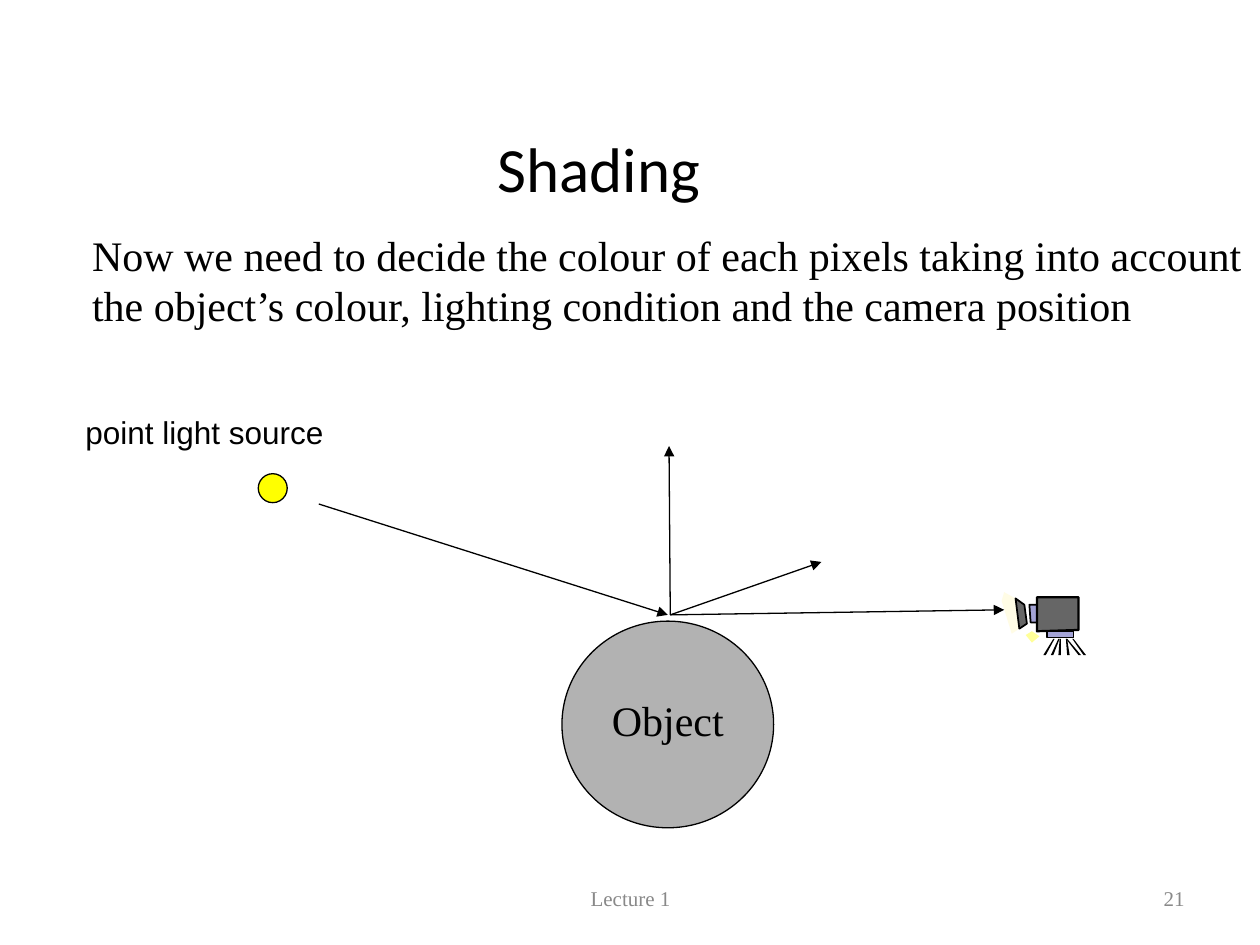
from lxml.etree import SubElement
from pptx import Presentation
from pptx.dml.color import RGBColor
from pptx.enum.shapes import MSO_CONNECTOR, MSO_SHAPE
from pptx.enum.text import MSO_ANCHOR, PP_ALIGN
from pptx.oxml.ns import qn
from pptx.util import Pt

PX = 9144
BLACK = RGBColor(0x00, 0x00, 0x00)
FOOTER_GREY = RGBColor(0x89, 0x89, 0x89)
OBJECT_GREY = RGBColor(0xB2, 0xB2, 0xB2)
BODY_GREY = RGBColor(0x66, 0x66, 0x66)
LILAC = RGBColor(0xA3, 0xA3, 0xD6)
YELLOW = RGBColor(0xFF, 0xFF, 0x00)
PALE_YELLOW = RGBColor(0xFF, 0xFF, 0x99)
CREAM = RGBColor(0xFF, 0xFC, 0xE5)
SERIF = "Times New Roman"


def emu(*lengths):
    return [length * PX for length in lengths]


def write_text(shape, text, size, font_name=SERIF, color=BLACK, align=PP_ALIGN.LEFT,
               anchor=MSO_ANCHOR.MIDDLE, spacing=1.0, left_inset=10):
    text_frame = shape.text_frame
    text_frame.text = text
    text_frame.word_wrap = True
    text_frame.vertical_anchor = anchor
    text_frame.margin_left, text_frame.margin_right = emu(left_inset, 10)
    text_frame.margin_top, text_frame.margin_bottom = emu(5, 5)
    paragraph = text_frame.paragraphs[0]
    paragraph.alignment = align
    paragraph.line_spacing = spacing
    font = paragraph.runs[0].font
    font.name, font.size = font_name, Pt(size)
    font.color.rgb = color


def add_text(slide, box, text, size, **style):
    write_text(slide.shapes.add_textbox(*emu(*box)), text, size, **style)


def paint(shape, color, line_width=None):
    shape.shadow.inherit = False
    shape.fill.solid()
    shape.fill.fore_color.rgb = color
    if line_width:
        shape.line.color.rgb = BLACK
        shape.line.width = Pt(line_width)
    else:
        shape.line.fill.background()


def add_circle(slide, box, color):
    paint(slide.shapes.add_shape(MSO_SHAPE.OVAL, *emu(*box)), color, 0.75)


def add_label(slide, box, text, size, **style):
    label = slide.shapes.add_shape(MSO_SHAPE.ROUNDED_RECTANGLE, *emu(*box))
    label.adjustments[0] = 0
    label.shadow.inherit = False
    label.fill.background()
    label.line.fill.background()
    write_text(label, text, size, **style)


def add_arrow(slide, start, end):
    arrow = slide.shapes.add_connector(MSO_CONNECTOR.STRAIGHT, *emu(*start, *end))
    arrow.line.color.rgb = BLACK
    arrow.line.width = Pt(0.75)
    SubElement(arrow.line._get_or_add_ln(), qn("a:tailEnd"), type="triangle")
    SubElement(arrow._element.spPr, qn("a:effectLst"))


def add_camera(slide, left, top):
    def add_part(color, points, line_width=None):
        builder = slide.shapes.build_freeform(*points[0], scale=PX)
        builder.add_line_segments(points[1:], close=True)
        paint(builder.convert_to_shape(*emu(left, top)), color, line_width)

    add_part(CREAM, [(2, 0), (11, 5), (14, 29), (8, 33), (0, 7)])
    add_part(PALE_YELLOW, [(19, 34), (24, 31), (30, 35), (24, 40)])
    add_part(LILAC, [(22, 10), (28, 10), (28, 24), (23, 24)], 1)
    add_part(BODY_GREY, [(11, 5), (18, 10), (20, 25), (14, 29)], 1)
    add_part(LILAC, [(36, 31), (57, 31), (57, 36), (36, 36)], 1)
    add_part(BODY_GREY, [(28, 4), (61, 4), (61, 30), (28, 31)], 1.25)
    for hip, foot in [(41, 34), (45, 40), (46, 46), (51, 53), (51, 62), (56, 66)]:
        add_part(BLACK, [(hip, 37), (hip + 1, 37), (foot + 1, 50), (foot - 1, 50)])


def add_object(slide, left, top):
    add_circle(slide, (left, top, 168, 164), OBJECT_GREY)
    add_label(slide, (left + 25, top + 24, 118, 115), "Object", 24,
              align=PP_ALIGN.CENTER, spacing=0.86)


def add_light_source(slide, left, top):
    add_circle(slide, (left + 154, top + 49, 23, 23), YELLOW)
    add_label(slide, (left, top, 244, 72), " point light source", 18, font_name="Arial",
              anchor=MSO_ANCHOR.TOP, spacing=0.87)


def add_diagram(slide, left, top):
    add_object(slide, left + 395, top + 166)
    add_camera(slide, left + 744, top + 143)
    surface_point = (left + 481, top + 161)
    for x, y in [(480, 27), (746, 157), (601, 119)]:
        add_arrow(slide, surface_point, (left + x, top + y))
    add_light_source(slide, left, top)
    add_arrow(slide, (left + 202, top + 73), (left + 479, top + 161))


def add_header(slide, left, top):
    add_text(slide, (left + 17, top, 850, 108), "Shading ", 36,
             font_name="Calibri", align=PP_ALIGN.CENTER)
    add_text(slide, (left, top + 98, 961, 90),
             "Now we need to decide the colour of each pixels taking into account "
             "the object’s colour, lighting condition and the camera position",
             24, anchor=MSO_ANCHOR.TOP, left_inset=34)


def add_footer(slide, left, top):
    for offset, width, text, align in [(0, 317, "Lecture 1", PP_ALIGN.CENTER),
                                       (375, 233, "21", PP_ALIGN.RIGHT)]:
        add_text(slide, (left + offset, top, width, 40), text, 12,
                 color=FOOTER_GREY, align=align, spacing=0.8)


def main():
    presentation = Presentation()
    presentation.slide_width, presentation.slide_height = emu(1000, 750)
    slide = presentation.slides.add_slide(presentation.slide_layouts[6])
    add_header(slide, 39, 79)
    add_footer(slide, 342, 695)
    add_diagram(slide, 51, 327)
    presentation.save("out.pptx")


if __name__ == "__main__":
    main()
